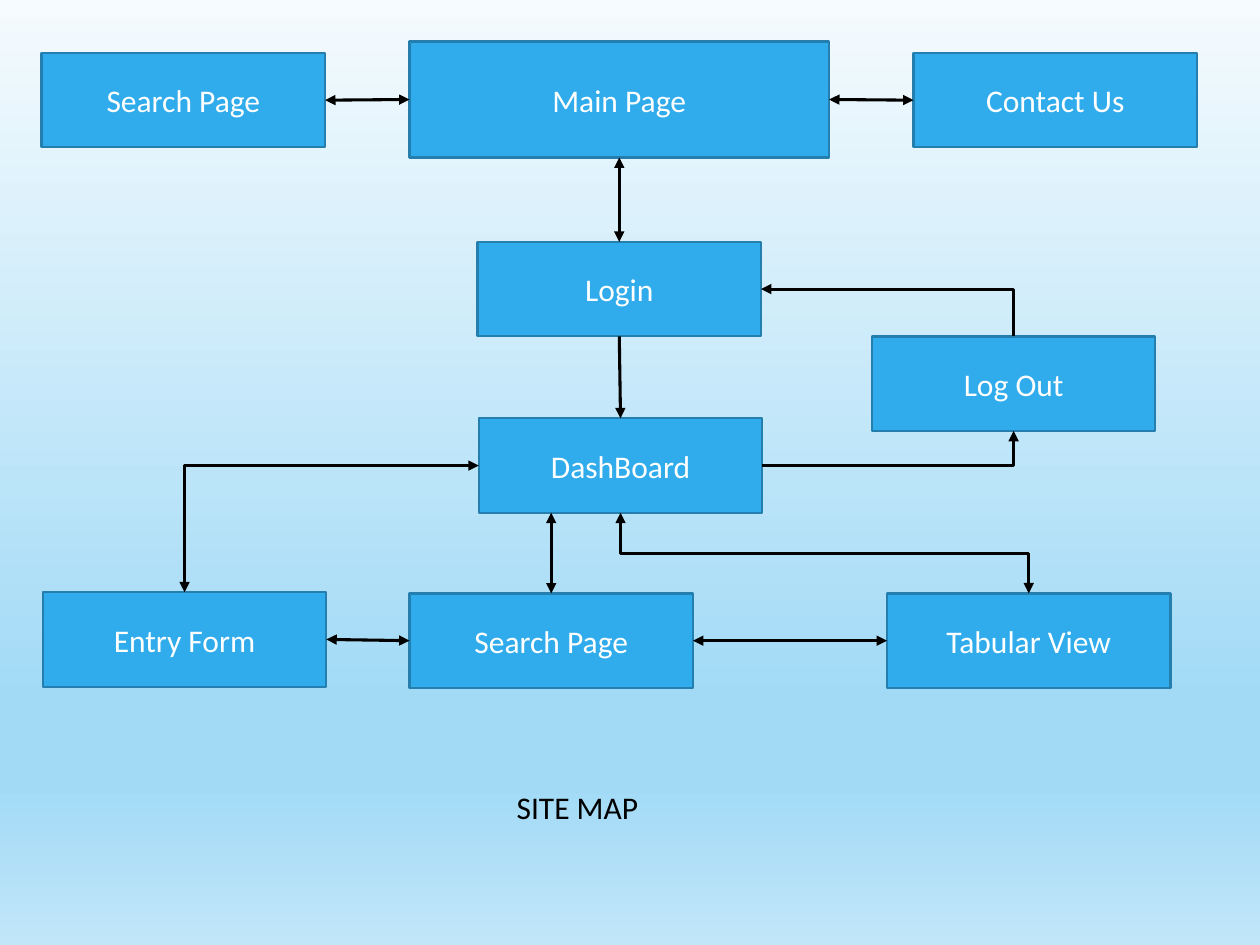
from copy import deepcopy
from dataclasses import dataclass

from pptx import Presentation
from pptx.dml.color import RGBColor
from pptx.enum.shapes import MSO_CONNECTOR, MSO_SHAPE
from pptx.enum.text import MSO_ANCHOR, PP_ALIGN
from pptx.oxml.ns import qn
from pptx.oxml.xmlchemy import OxmlElement
from pptx.util import Inches, Pt


@dataclass(frozen=True)
class Theme:
    font: str = "Calibri"
    size: float = 18
    box_fill: str = "30ACEC"
    box_line: str = "247FAF"
    box_width: float = 1.25
    box_text: str = "FFFFFF"
    ink: str = "000000"
    arrow_width: float = 1.75
    sky: tuple = ((0, "F5FBFE"), (74, "A2DAF6"), (83, "A2DAF6"), (100, "C1E6F9"))


THEME = Theme()
TOP, LEFT, BOTTOM, RIGHT = range(4)
PAGE_SIZE = (2.25, 0.75)
MAIN_SIZE = (3.33, 0.92)

# key: label, left and top within the map, size
PAGES = {
    "main": ("Main Page", 2.92, 0, MAIN_SIZE),
    "search": ("Search Page", 0, 0.09, PAGE_SIZE),
    "contact": ("Contact Us", 6.92, 0.09, PAGE_SIZE),
    "login": ("Login", 3.46, 1.59, PAGE_SIZE),
    "logout": ("Log Out", 6.59, 2.34, PAGE_SIZE),
    "dashboard": ("DashBoard", 3.47, 2.99, PAGE_SIZE),
    "entry": ("Entry Form", 0.01, 4.37, PAGE_SIZE),
    "lookup": ("Search Page", 2.92, 4.38, PAGE_SIZE),
    "table": ("Tabular View", 6.71, 4.38, PAGE_SIZE),
}

# from page and side, to page and side, two-way, preset of the bent ones
LINKS = [
    ("search", RIGHT, "main", LEFT, True, None),
    ("main", RIGHT, "contact", LEFT, True, None),
    ("main", BOTTOM, "login", TOP, True, None),
    ("login", BOTTOM, "dashboard", TOP, False, None),
    ("entry", RIGHT, "lookup", LEFT, True, None),
    ("lookup", RIGHT, "table", LEFT, True, None),
    ("dashboard", RIGHT, "logout", BOTTOM, False, "bentConnector2"),
    ("logout", TOP, "login", RIGHT, False, "bentConnector2"),
    ("entry", TOP, "dashboard", LEFT, True, "bentConnector2"),
    ("dashboard", BOTTOM, "table", TOP, True, "bentConnector3"),
]


def write(tf, text, color, align, anchor):
    tf.word_wrap = True
    tf.vertical_anchor = anchor
    p = tf.paragraphs[0]
    p.alignment = align
    r = p.add_run()
    r.text = text
    for name, value in {"name": THEME.font, "size": Pt(THEME.size), "bold": False}.items():
        setattr(r.font, name, value)
    r.font.color.rgb = RGBColor.from_string(color)


def add_background(s):
    fill = s.background.fill
    fill.gradient()
    fill.gradient_angle = 270
    stops = next(s.element.iter(qn("a:gsLst")))
    for _ in range(len(THEME.sky) - len(stops)):
        stops.append(deepcopy(stops[0]))
    for stop, (position, color) in zip(fill.gradient_stops, THEME.sky):
        stop.position = position / 100
        stop.color.rgb = RGBColor.from_string(color)


def add_page(s, label, left, top, size):
    sp = s.shapes.add_shape(MSO_SHAPE.RECTANGLE, left, top, *map(Inches, size))
    sp.shadow.inherit = False
    sp.fill.solid()
    sp.fill.fore_color.rgb = RGBColor.from_string(THEME.box_fill)
    sp.line.color.rgb = RGBColor.from_string(THEME.box_line)
    sp.line.width = Pt(THEME.box_width)
    write(sp.text_frame, label, THEME.box_text, PP_ALIGN.CENTER, MSO_ANCHOR.MIDDLE)
    return sp


def style_arrow(link, two_way):
    link.line.color.rgb = RGBColor.from_string(THEME.ink)
    link.line.width = Pt(THEME.arrow_width)
    ln = link.line._get_or_add_ln()
    for tag in ("a:headEnd", "a:tailEnd") if two_way else ("a:tailEnd",):
        end = OxmlElement(tag)
        end.set("type", "triangle")
        ln.append(end)
    link.element.spPr.append(OxmlElement("a:effectLst"))


def bend(link, preset, vertical_first):
    """Set the elbow preset; turn it a quarter if it leaves upwards or downwards."""
    link.element.spPr.find(qn("a:prstGeom")).set("prst", preset)
    if not vertical_first:
        return
    dx, dy = link.end_x - link.begin_x, link.end_y - link.begin_y
    mid_x, mid_y = link.begin_x + dx // 2, link.begin_y + dy // 2
    link.width, link.height = abs(dy), abs(dx)
    link.left, link.top = mid_x - abs(dy) // 2, mid_y - abs(dx) // 2
    xfrm = link.element.spPr.find(qn("a:xfrm"))
    xfrm.set("rot", str((90 if dy > 0 else 270) * 60000))
    xfrm.set("flipH", "0")
    xfrm.set("flipV", "1" if (dx > 0) == (dy > 0) else "0")


def add_link(s, start, start_side, end, end_side, two_way, preset):
    kind = MSO_CONNECTOR.ELBOW if preset else MSO_CONNECTOR.STRAIGHT
    link = s.shapes.add_connector(kind, 0, 0, 0, 0)
    link.begin_connect(start, start_side)
    link.end_connect(end, end_side)
    if preset:
        bend(link, preset, start_side in (TOP, BOTTOM))
    style_arrow(link, two_way)


def add_site_map(s, left, top):
    # Pages
    pages = {
        key: add_page(s, label, left + Inches(x), top + Inches(y), size)
        for key, (label, x, y, size) in PAGES.items()
    }
    # Links between the middles of sides
    for start, start_side, end, end_side, two_way, preset in LINKS:
        add_link(s, pages[start], start_side, pages[end], end_side, two_way, preset)
    # Upright link from the dashboard's lower edge to the search page
    dashboard, lookup = pages["dashboard"], pages["lookup"]
    x = lookup.left + lookup.width // 2
    link = s.shapes.add_connector(
        MSO_CONNECTOR.STRAIGHT, x, dashboard.top + dashboard.height, x, lookup.top)
    link.end_connect(lookup, TOP)
    style_arrow(link, True)


def add_title(s, left, top, width, height):
    title = s.shapes.title
    box = {"left": left, "top": top, "width": width, "height": height}
    for name, value in box.items():
        setattr(title, name, value)
    write(title.text_frame, "SITE MAP", THEME.ink, PP_ALIGN.LEFT, MSO_ANCHOR.TOP)


def main():
    prs = Presentation()
    prs.slide_width, prs.slide_height = Inches(10), Inches(7.5)
    s = prs.slides.add_slide(prs.slide_layouts[5])
    add_background(s)
    add_site_map(s, Inches(0.33), Inches(0.33))
    add_title(s, Inches(4), Inches(6.2), Inches(5.58), Inches(0.4))
    prs.save("out.pptx")


if __name__ == "__main__":
    main()
